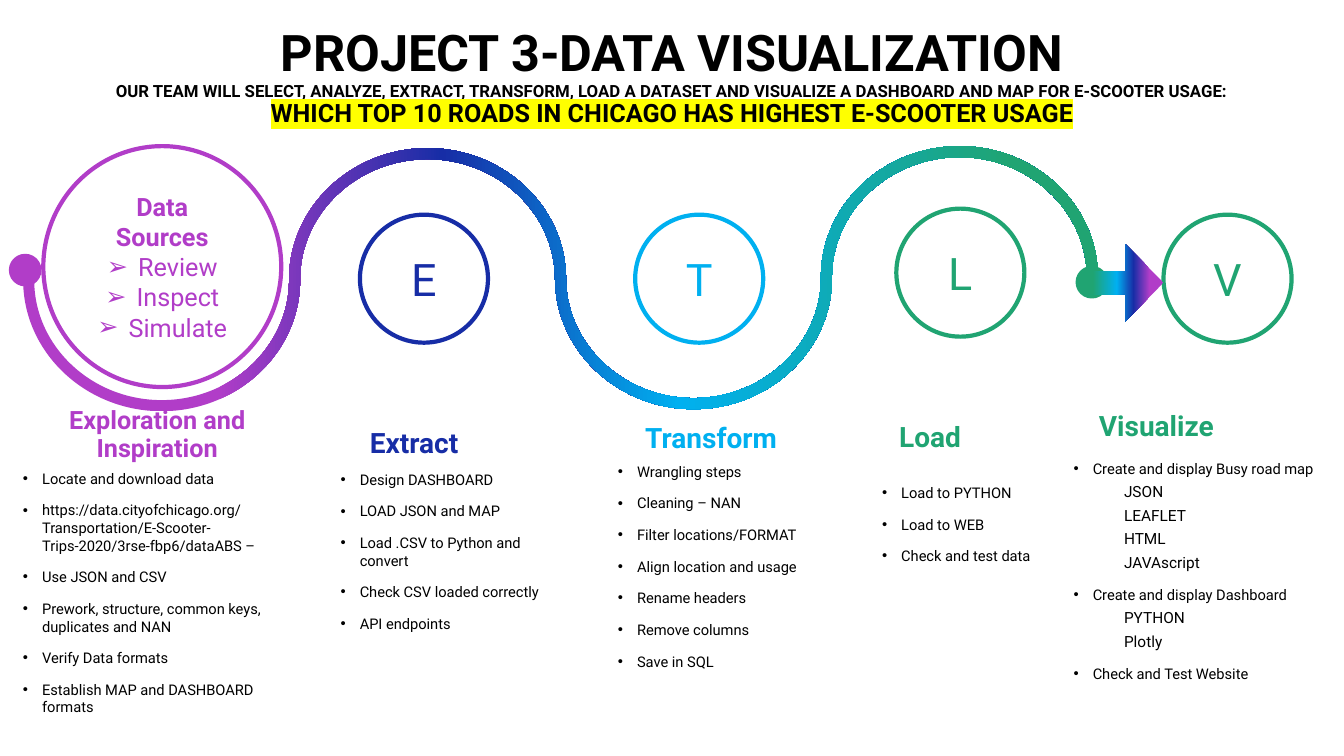
from copy import deepcopy
from dataclasses import dataclass

from lxml import etree
from pptx import Presentation
from pptx.dml.color import RGBColor
from pptx.enum import shapes, text
from pptx.oxml import ns
from pptx.util import Inches, Pt


@dataclass(frozen=True)
class Theme:
    """Colours, font and type sizes of the slide."""
    font: str = "Roboto"
    ink: str = "000000"
    paper: str = "FFFFFF"
    marker: str = "FFFF00"
    purple: str = "B13DC8"
    navy: str = "172DA6"
    sky: str = "00B0F0"
    green: str = "20A472"
    title: float = 36
    lead: float = 12
    question: float = 18
    letter: float = 32
    heading: float = 20
    long_heading: float = 18
    bullet: float = 10.5
    detail: float = 11


THEME = Theme()
RAINBOW = ((18, THEME.purple), (39, THEME.navy), (61, THEME.sky), (92, THEME.green))

TITLE = (
    ("PROJECT 3-DATA VISUALIZATION", THEME.title, None),
    ("OUR TEAM WILL SELECT, ANALYZE, EXTRACT, TRANSFORM, LOAD A DATASET AND "
     "VISUALIZE A DASHBOARD AND MAP FOR E-SCOOTER USAGE:", THEME.lead, None),
    ("WHICH TOP 10 ROADS IN CHICAGO HAS HIGHEST E-SCOOTER USAGE",
     THEME.question, THEME.marker),
)
SOURCE_STEPS = ("Review", "Inspect", "Simulate")
LETTERS = (
    ("E", 3.57, 2.13, THEME.navy),
    ("T", 6.3, 2.13, THEME.sky),
    ("L", 8.89, 2.07, THEME.green),
    ("V", 11.54, 2.13, THEME.green),
)
STAGES = (
    ("Exploration and Inspiration", THEME.purple, (0.43, 4, 2.26, 0.33),
     (0.13, 4.61, 2.77, 0.77),
     ("Locate and download data",
      "https://data.cityofchicago.org/Transportation/E-Scooter-Trips-2020/3rse-fbp6/dataABS –",
      "Use JSON and CSV",
      "Prework, structure, common keys, duplicates and NAN",
      "Verify Data formats",
      "Establish MAP and DASHBOARD formats")),
    ("Extract", THEME.navy, (3.57, 4.21, 1.96, 0.33), (3.28, 4.62, 2.34, 0.77),
     ("Design DASHBOARD", "LOAD JSON and MAP", "Load .CSV to Python and convert",
      "Check CSV loaded correctly", "API endpoints")),
    ("Transform", THEME.sky, (6.3, 4.16, 1.96, 0.33), (6.03, 4.54, 2.45, 0.77),
     ("Wrangling steps", "Cleaning – NAN", "Filter locations/FORMAT",
      "Align location and usage", "Rename headers", "Remove columns", "Save in SQL")),
    ("Load", THEME.green, (8.82, 4.15, 1.96, 0.33), (8.65, 4.75, 1.98, 0.77),
     ("Load to PYTHON", "Load to WEB", "Check and test data")),
    ("Visualize", THEME.green, (10.8, 4.04, 2.68, 0.33), (10.55, 4.51, 2.7, 0.77),
     ("Create and display Busy road map", ("JSON", "LEAFLET", "HTML", "JAVAscript"),
      "Create and display Dashboard", ("PYTHON", "Plotly"),
      "Check and Test Website")),
)


def write(frame, words, size, color=THEME.ink, bold=False, align=text.PP_ALIGN.LEFT,
          spacing=1.0, before=0, level=0, margin=0, hang=0, bullet=None, highlight=None,
          same_paragraph=False):
    """Add formatted words to a text frame, by default as a new paragraph."""
    last = frame.paragraphs[-1]
    line = frame.add_paragraph() if last.runs and not same_paragraph else last
    if line.runs:
        line.add_line_break()
        line._p[-1].append(deepcopy(line.runs[-1]._r.rPr))
    line.alignment, line.line_spacing, line.level = align, spacing, level
    line.space_before = Pt(before)
    props = line._p.get_or_add_pPr()
    props.set("marL", str(Inches(margin)))
    props.set("indent", str(Inches(-hang)))
    if bullet:
        etree.SubElement(props, ns.qn("a:buFont")).set("typeface", "Arial")
        etree.SubElement(props, ns.qn("a:buChar")).set("char", bullet)
    run = line.add_run()
    run.text = words
    run.font.size, run.font.bold, run.font.name = Pt(size), bold, THEME.font
    run.font.color.rgb = RGBColor.from_string(color)
    if highlight:
        mark = etree.Element(ns.qn("a:highlight"))
        etree.SubElement(mark, ns.qn("a:srgbClr")).set("val", highlight)
        run._r.rPr.find(ns.qn("a:solidFill")).addnext(mark)


def text_frame(slide, box):
    """Add a wrapping text box and return its frame."""
    frame = slide.shapes.add_textbox(*map(Inches, box)).text_frame
    frame.word_wrap = True
    return frame


def circle(slide, box, fill, outline, weight):
    """Add an outlined ellipse and return its middle-anchored frame."""
    ring = slide.shapes.add_shape(shapes.MSO_SHAPE.OVAL, *map(Inches, box))
    ring.shadow.inherit = False
    ring.fill.solid()
    ring.fill.fore_color.rgb = RGBColor.from_string(fill)
    ring.line.color.rgb = RGBColor.from_string(outline)
    ring.line.width = Pt(weight)
    ring.text_frame.word_wrap = True
    ring.text_frame.vertical_anchor = text.MSO_ANCHOR.MIDDLE
    return ring.text_frame


def paint_rainbow(band, angle):
    """Fill a shape with the four-colour gradient and no outline."""
    band.shadow.inherit = False
    band.line.fill.background()
    band.fill.gradient()
    band.fill.gradient_angle = angle
    stops = band._element.spPr.find(ns.qn("a:gradFill")).find(ns.qn("a:gsLst"))
    for old in list(stops):
        stops.remove(old)
    for percent, color in RAINBOW:
        stop = etree.SubElement(stops, ns.qn("a:gs"))
        stop.set("pos", str(percent * 1000))
        etree.SubElement(stop, ns.qn("a:srgbClr")).set("val", color)


def title_block(slide, box):
    """Place the three centred title lines."""
    frame = text_frame(slide, box)
    for words, size, highlight in TITLE:
        write(frame, words, size, bold=True, align=text.PP_ALIGN.CENTER, spacing=0.9,
              before=10, highlight=highlight, same_paragraph=True)


def source_circle(slide, box):
    """Place the large circle that lists the data source steps."""
    frame = circle(slide, box, THEME.paper, THEME.purple, 3)
    style = dict(size=18, color=THEME.purple, align=text.PP_ALIGN.CENTER)
    write(frame, "Data Sources", bold=True, **style)
    for step in SOURCE_STEPS:
        write(frame, step, margin=0.31, hang=0.31, bullet="➢", **style)


def half_ring(center_x, center_y, radius, rise):
    """Return the seven Bezier points of a half ellipse from left to right."""
    pull = 0.55
    offsets = ((-1, 0), (-1, pull), (-pull, 1), (0, 1), (pull, 1), (1, pull), (1, 0))
    return [(Inches(center_x + radius * x), Inches(center_y + rise * y)) for x, y in offsets]


def ribbon(slide, box, bends=4, thickness=0.11):
    """Draw the winding band of alternating half rings inside the box."""
    left, top, width, height = box
    radius = (width + (bends - 1) * thickness) / (2 * bends)
    rise = height / 2 - 0.02
    upper, lower = [], []
    for bend in range(bends):
        side = 1 if bend % 2 == 0 else -1
        center_x = left + radius + bend * (2 * radius - thickness)
        center_y = top + height / 2 + 0.01 - 0.01 * bend
        outer = half_ring(center_x, center_y, radius, side * rise)
        inner = half_ring(center_x, center_y, radius - thickness, side * (rise - thickness))
        upper += inner if side > 0 else outer
        lower += outer if side > 0 else inner
    outline = upper + lower[::-1]
    builder = slide.shapes.build_freeform(*outline[0])
    builder.add_line_segments(outline[1:], close=True)
    band = builder.convert_to_shape()
    moves = list(band._element.spPr.iter(ns.qn("a:moveTo"), ns.qn("a:lnTo")))
    for start in range(0, len(outline), 7):
        for first in (start + 1, start + 4):
            curve = etree.Element(ns.qn("a:cubicBezTo"))
            moves[first].addprevious(curve)
            for move in moves[first:first + 3]:
                curve.append(move[0])
                move.getparent().remove(move)
    paint_rainbow(band, 0)


def final_arrow(slide, box):
    """Place the gradient arrow that leads to the last circle."""
    arrow = slide.shapes.add_shape(shapes.MSO_SHAPE.RIGHT_ARROW, *map(Inches, box))
    arrow.adjustments[0] = 0.3
    paint_rainbow(arrow, 180)


def stage(slide, heading, color, heading_box, list_box, items):
    """Place a stage heading and its bullets with nested details."""
    long = len(heading) > 12
    write(text_frame(slide, heading_box), heading,
          THEME.long_heading if long else THEME.heading, color, bold=True,
          align=text.PP_ALIGN.CENTER if long else text.PP_ALIGN.LEFT, spacing=0.9, before=10)
    frame = text_frame(slide, list_box)
    for item in items:
        if isinstance(item, str):
            write(frame, item, THEME.bullet, before=10, margin=0.19, hang=0.19, bullet="•")
            continue
        for detail in item:
            write(frame, detail, THEME.detail, before=5, spacing=0.9, level=1, margin=0.5)


def main():
    """Build and save the slide."""
    deck = Presentation()
    deck.slide_width, deck.slide_height = Inches(13.33), Inches(7.5)
    slide = deck.slides.add_slide(deck.slide_layouts[6])
    for letter, left, top, color in LETTERS:
        frame = circle(slide, (left, top, 1.27, 1.27), THEME.paper, color, 3)
        write(frame, letter, THEME.letter, color, align=text.PP_ALIGN.CENTER)
    source_circle(slide, (0.43, 1.45, 2.36, 2.39))
    ribbon(slide, (0.23, 1.45, 10.66, 2.64))
    for left, top, color in ((0.13, 2.56, THEME.purple), (10.71, 2.68, THEME.green)):
        circle(slide, (left, top, 0.24, 0.24), color, color, 6)
    for details in STAGES:
        stage(slide, *details)
    title_block(slide, (0.25, 0.23, 12.83, 1.03))
    final_arrow(slide, (10.78, 2.42, 0.76, 0.77))
    deck.save("out.pptx")


if __name__ == "__main__":
    main()
